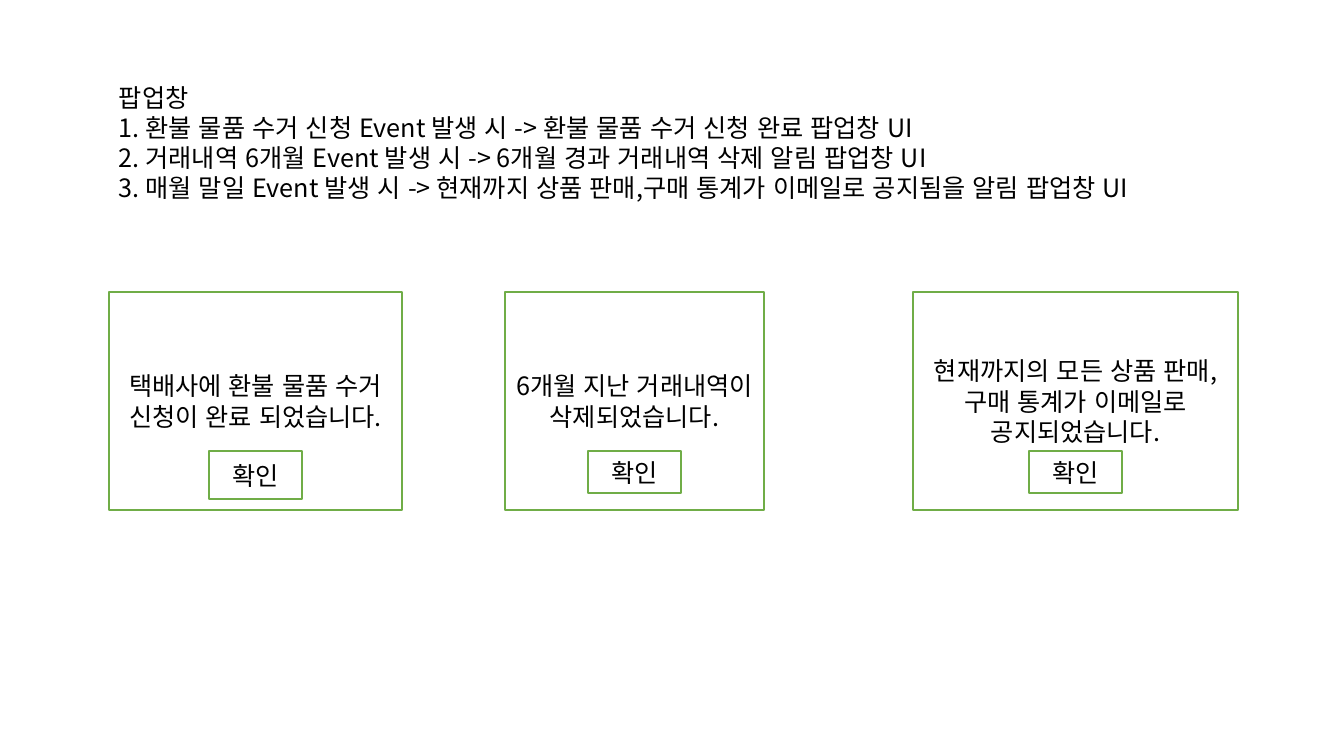
from dataclasses import dataclass

from lxml.etree import SubElement
from pptx import Presentation
from pptx.dml.color import RGBColor
from pptx.enum.lang import MSO_LANGUAGE_ID
from pptx.enum.shapes import MSO_SHAPE
from pptx.enum.text import MSO_ANCHOR, MSO_AUTO_SIZE, PP_ALIGN
from pptx.oxml.ns import qn
from pptx.util import Inches, Pt


@dataclass(frozen=True)
class Theme:
    font: str = "Noto Sans CJK KR"
    size: int = 18
    ink: RGBColor = RGBColor(0, 0, 0)
    paper: RGBColor = RGBColor(255, 255, 255)
    edge: RGBColor = RGBColor(0x70, 0xAD, 0x47)


THEME = Theme()
NOTES = [
    "팝업창",
    "1. 환불 물품 수거 신청 Event 발생 시 -> 환불 물품 수거 신청 완료 팝업창 UI",
    "2. 거래내역 6개월 Event 발생 시 -> 6개월 경과 거래내역 삭제 알림 팝업창 UI",
    "3. 매월 말일 Event 발생 시 -> 현재까지 상품 판매,구매 통계가 이메일로 공지됨을 알림 팝업창 UI",
]
# left, width, button height, message
POPUPS = [
    (109, 293, 48, "택배사에 환불 물품 수거 신청이 완료 되었습니다."),
    (505, 259, 42, "6개월 지난 거래내역이 삭제되었습니다."),
    (913, 325, 42, "현재까지의 모든 상품 판매, 구매 통계가 이메일로 공지되었습니다."),
]
POPUP_TOP, POPUP_HEIGHT = 292, 218
BUTTON_WIDTH, BUTTON_DROP = 93, 159


def px(count):
    return Inches(count / 100.8)


def style(frame, align):
    """Apply the theme's type to every run, Korean glyphs included."""
    frame.word_wrap = True
    for para in frame.paragraphs:
        para.alignment = align
        for run in para.runs:
            font = run.font
            font.name = THEME.font
            font.size = Pt(THEME.size)
            font.color.rgb = THEME.ink
            font.language_id = MSO_LANGUAGE_ID.KOREAN
            SubElement(font._element, qn("a:ea"), typeface=THEME.font)


def add_notes(slide, left, top, width, height):
    box = slide.shapes.add_textbox(px(left), px(top), px(width), px(height))
    frame = box.text_frame
    frame.text = "\n".join(NOTES)
    frame.auto_size = MSO_AUTO_SIZE.SHAPE_TO_FIT_TEXT
    style(frame, PP_ALIGN.LEFT)


def add_panel(slide, left, top, width, height, text):
    panel = slide.shapes.add_shape(
        MSO_SHAPE.RECTANGLE, px(left), px(top), px(width), px(height))
    panel.shadow.inherit = False
    panel.fill.solid()
    panel.fill.fore_color.rgb = THEME.paper
    panel.line.color.rgb = THEME.edge
    panel.line.width = Pt(1)
    frame = panel.text_frame
    frame.text = text
    frame.vertical_anchor = MSO_ANCHOR.MIDDLE
    style(frame, PP_ALIGN.CENTER)


def add_popup(slide, left, top, width, height, button, text):
    """Draw a message panel with a centred confirm button of the given height."""
    add_panel(slide, left, top, width, height, text)
    add_panel(slide, left + (width - BUTTON_WIDTH) // 2, top + BUTTON_DROP,
              BUTTON_WIDTH, button, "확인")


def main():
    deck = Presentation()
    deck.slide_width, deck.slide_height = px(1344), px(756)
    slide = deck.slides.add_slide(deck.slide_layouts[6])
    add_notes(slide, 109, 77, 1146, 132)
    for left, width, button, text in POPUPS:
        add_popup(slide, left, POPUP_TOP, width, POPUP_HEIGHT, button, text)
    deck.save("out.pptx")


if __name__ == "__main__":
    main()
